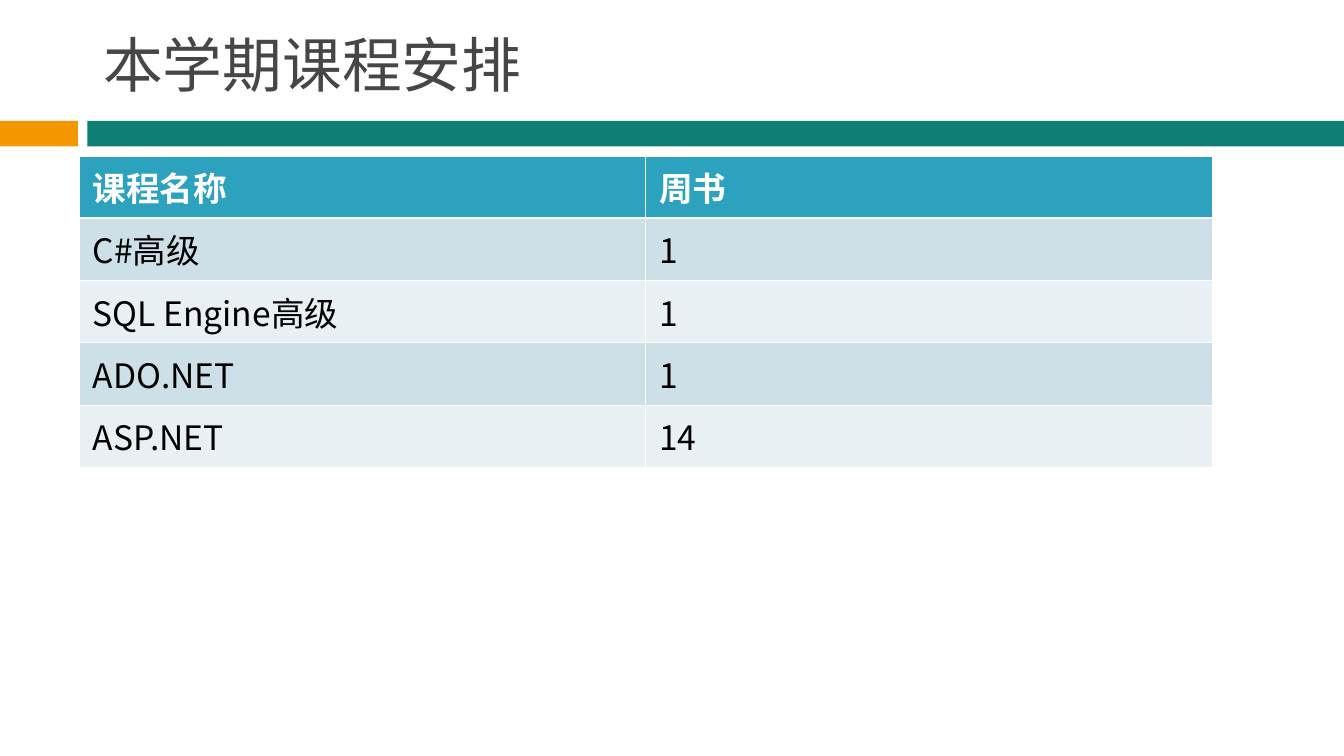
"""Build a slide that lists this term's courses and their weeks."""
from lxml.etree import SubElement
from pptx import Presentation
from pptx.dml.color import RGBColor
from pptx.enum.shapes import MSO_SHAPE as Shape
from pptx.enum.text import MSO_ANCHOR as Anchor
from pptx.oxml import parse_xml
from pptx.oxml.ns import qn
from pptx.util import Inches, Pt

WIDTH = 10
HEIGHT = WIDTH * 9 / 16
FONT = "Noto Sans CJK SC"
COLORS = {
    "accent": "F29700",
    "band": "0F7F76",
    "title": "464646",
    "header": "2DA2BF",
    "odd": "CDE0E8",
    "even": "E8F0F4",
    "white": "FFFFFF",
    "black": "000000",
}
COURSES = [
    ("课程名称", "周书"),
    ("C#高级", "1"),
    ("SQL Engine高级", "1"),
    ("ADO.NET", "1"),
    ("ASP.NET", "14"),
]
A_NS = "http://schemas.openxmlformats.org/drawingml/2006/main"


def color(name):
    """Return the named colour."""
    return RGBColor.from_string(COLORS[name])


def add_run(paragraph, text, size, ink, bold=False):
    """Add one run, with the font set for Latin and East Asian letters."""
    run = paragraph.add_run()
    run.text = text
    run.font.size, run.font.bold = Pt(size), bold
    run.font.name = FONT
    run.font.color.rgb = color(ink)
    SubElement(run.font._element, qn("a:ea"), typeface=FONT)


def add_bar(slide, left, width, fill):
    """Add one part of the bar under the title."""
    bar = slide.shapes.add_shape(
        Shape.RECTANGLE, Inches(left), Inches(0.16 * HEIGHT), Inches(width), Inches(0.19))
    bar.shadow.inherit = False
    bar.fill.solid()
    bar.fill.fore_color.rgb = color(fill)
    bar.line.fill.background()


def add_title(slide, text):
    """Add the slide's heading."""
    heading = slide.shapes.add_textbox(Inches(0.67), Inches(0.13), Inches(7.33), Inches(0.68))
    frame = heading.text_frame
    frame.word_wrap = True
    frame.vertical_anchor = Anchor.MIDDLE
    add_run(frame.paragraphs[0], text, 32, "title")


def set_borders(cell, top, bottom):
    """Draw white cell borders with the given top and bottom widths."""
    props = cell._tc.get_or_add_tcPr()
    widths = {"lnL": 0.45, "lnR": 0.45, "lnT": top, "lnB": bottom}
    for place, (side, width) in enumerate(widths.items()):
        props.insert(place, parse_xml(
            f'<a:{side} xmlns:a="{A_NS}" w="{Pt(width)}"><a:solidFill>'
            f'<a:srgbClr val="{COLORS["white"]}"/></a:solidFill></a:{side}>'))


def add_course_table(slide, courses):
    """Add the table of courses with a header and banded rows."""
    table = slide.shapes.add_table(
        len(courses), len(courses[0]), Inches(0.59), Inches(1.16),
        Inches(8.43), Inches(2.32)).table
    for row, course in enumerate(courses):
        header = row == 0
        fill = "header" if header else "odd" if row % 2 else "even"
        for column, text in enumerate(course):
            cell = table.cell(row, column)
            cell.fill.solid()
            cell.fill.fore_color.rgb = color(fill)
            set_borders(cell, 1.47 if row == 1 else 0.45, 1.47 if header else 0.45)
            add_run(cell.text_frame.paragraphs[0], text, 18,
                    "white" if header else "black", header)


def main():
    """Build and save the slide."""
    deck = Presentation()
    deck.slide_width, deck.slide_height = Inches(WIDTH), Inches(HEIGHT)
    slide = deck.slides.add_slide(deck.slide_layouts[6])
    add_bar(slide, 0, 0.58, "accent")
    add_bar(slide, 0.65, WIDTH - 0.65, "band")
    add_title(slide, "本学期课程安排")
    add_course_table(slide, COURSES)
    deck.save("out.pptx")


if __name__ == "__main__":
    main()
